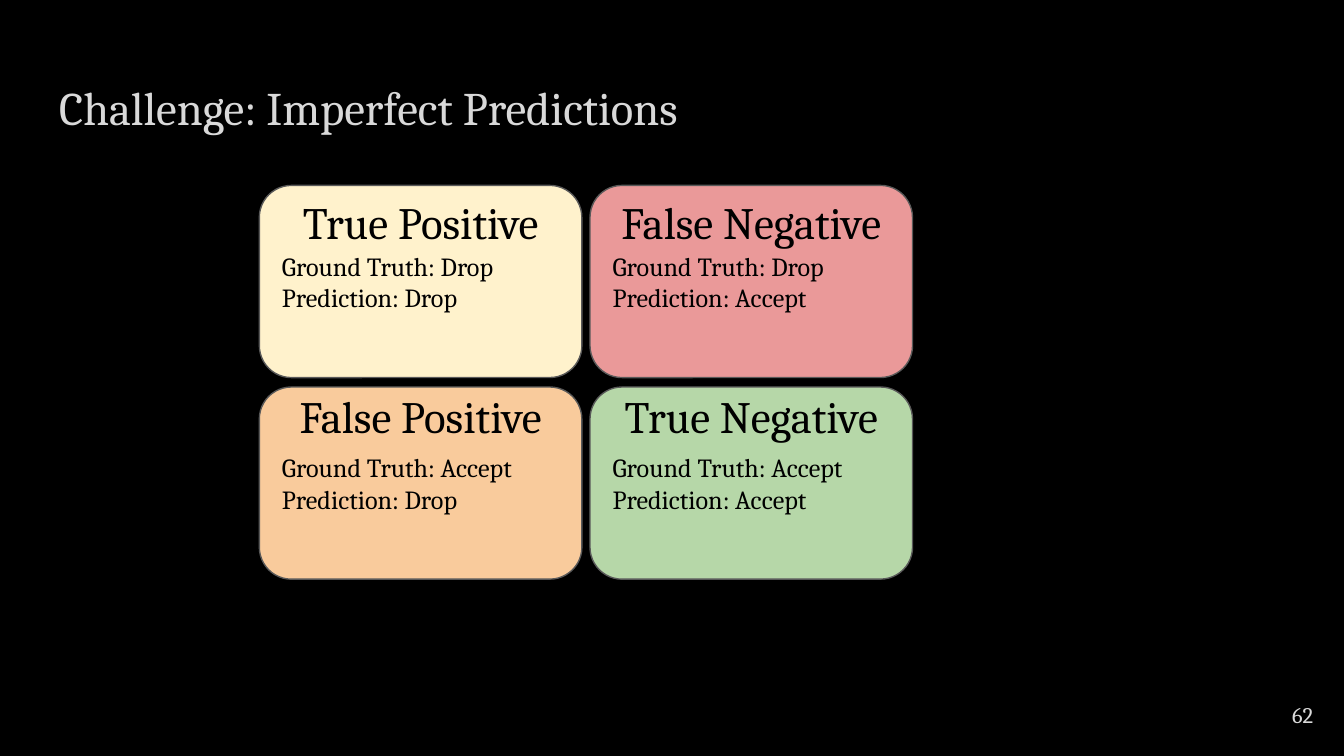
from pptx import Presentation
from pptx import util as u
from pptx.dml import color as c
from pptx.enum import shapes, text

COLORS = {
    "background": "000000",
    "light": "D9D9D9",
    "dark": "000000",
    "outline": "595959",
    "yellow": "FFF2CC",
    "red": "EA9999",
    "orange": "F9CB9C",
    "green": "B6D7A8",
}
FONT = "Cambria"
SLIDE_WIDTH = 10
SLIDE_HEIGHT = SLIDE_WIDTH * 9 / 16
CARD_LEFT, CARD_TOP = 1.93, 1.38
CARD_WIDTH, CARD_HEIGHT = 2.4, 1.43
COLUMN_STEP, ROW_STEP = 2.46, 1.5
HEADING_TOPS = (1.49, 2.94)
HEADING_HEIGHT = 0.31
OUTCOMES = (
    (0, 0, "True Positive", 2.17, "Drop", "Drop", "yellow"),
    (1, 0, "False Negative", 2.4, "Drop", "Accept", "red"),
    (1, 1, "True Negative", 2.29, "Accept", "Accept", "green"),
    (0, 1, "False Positive", 2.24, "Accept", "Drop", "orange"),
)


def rgb(name):
    """Return the named colour."""
    return c.RGBColor.from_string(COLORS[name])


def write(shape, words, size, color, align, anchor=text.MSO_ANCHOR.MIDDLE):
    """Fill a shape with evenly formatted text."""
    frame = shape.text_frame
    frame.text = words
    frame.word_wrap = True
    frame.auto_size = text.MSO_AUTO_SIZE.NONE
    frame.vertical_anchor = anchor
    frame.margin_left = frame.margin_right = u.Inches(0.1)
    frame.margin_top = frame.margin_bottom = u.Inches(0.1)
    for para in frame.paragraphs:
        para.alignment = align
        for span in para.runs:
            span.font.name = FONT
            span.font.size = u.Pt(size)
            span.font.color.rgb = rgb(color)


def set_title(page, words):
    """Place and format the title placeholder."""
    title = page.shapes.title
    title.left, title.top = u.Inches(0.34), u.Inches(0.49)
    title.width, title.height = u.Inches(9.32), u.Inches(0.63)
    write(title, words, 25, "light", text.PP_ALIGN.LEFT, text.MSO_ANCHOR.TOP)


def add_label(page, left, top, width, height, words, size, color, align):
    """Add a text box."""
    box = page.shapes.add_textbox(
        u.Inches(left), u.Inches(top), u.Inches(width), u.Inches(height)
    )
    write(box, words, size, color, align)


def add_card(page, column, row, truth, prediction, fill):
    """Add one rounded card of the confusion matrix."""
    card = page.shapes.add_shape(
        shapes.MSO_SHAPE.ROUNDED_RECTANGLE,
        u.Inches(CARD_LEFT + column * COLUMN_STEP),
        u.Inches(CARD_TOP + row * ROW_STEP),
        u.Inches(CARD_WIDTH),
        u.Inches(CARD_HEIGHT),
    )
    card.shadow.inherit = False
    card.fill.solid()
    card.fill.fore_color.rgb = rgb(fill)
    card.line.color.rgb = rgb("outline")
    card.line.width = u.Pt(0.75)
    words = f"Ground Truth: {truth}\nPrediction: {prediction}"
    write(card, words, 14, "dark", text.PP_ALIGN.LEFT)


def add_heading(page, column, row, words, width):
    """Add a heading centred across its card."""
    left = CARD_LEFT + column * COLUMN_STEP + (CARD_WIDTH - width) / 2
    add_label(page, left, HEADING_TOPS[row], width, HEADING_HEIGHT,
              words, 24, "dark", text.PP_ALIGN.CENTER)


def main():
    """Build and save the slide."""
    deck = Presentation()
    deck.slide_width = u.Inches(SLIDE_WIDTH)
    deck.slide_height = u.Inches(SLIDE_HEIGHT)
    page = deck.slides.add_slide(deck.slide_layouts[5])
    page.background.fill.solid()
    page.background.fill.fore_color.rgb = rgb("background")
    set_title(page, "Challenge: Imperfect Predictions")
    add_label(page, 9.27, 5.1, 0.6, 0.43, "62", 12, "light", text.PP_ALIGN.RIGHT)
    for column, row, _, _, truth, prediction, fill in OUTCOMES:
        add_card(page, column, row, truth, prediction, fill)
    for column, row, heading, width, *_ in OUTCOMES:
        add_heading(page, column, row, heading, width)
    deck.save("out.pptx")


if __name__ == "__main__":
    main()
